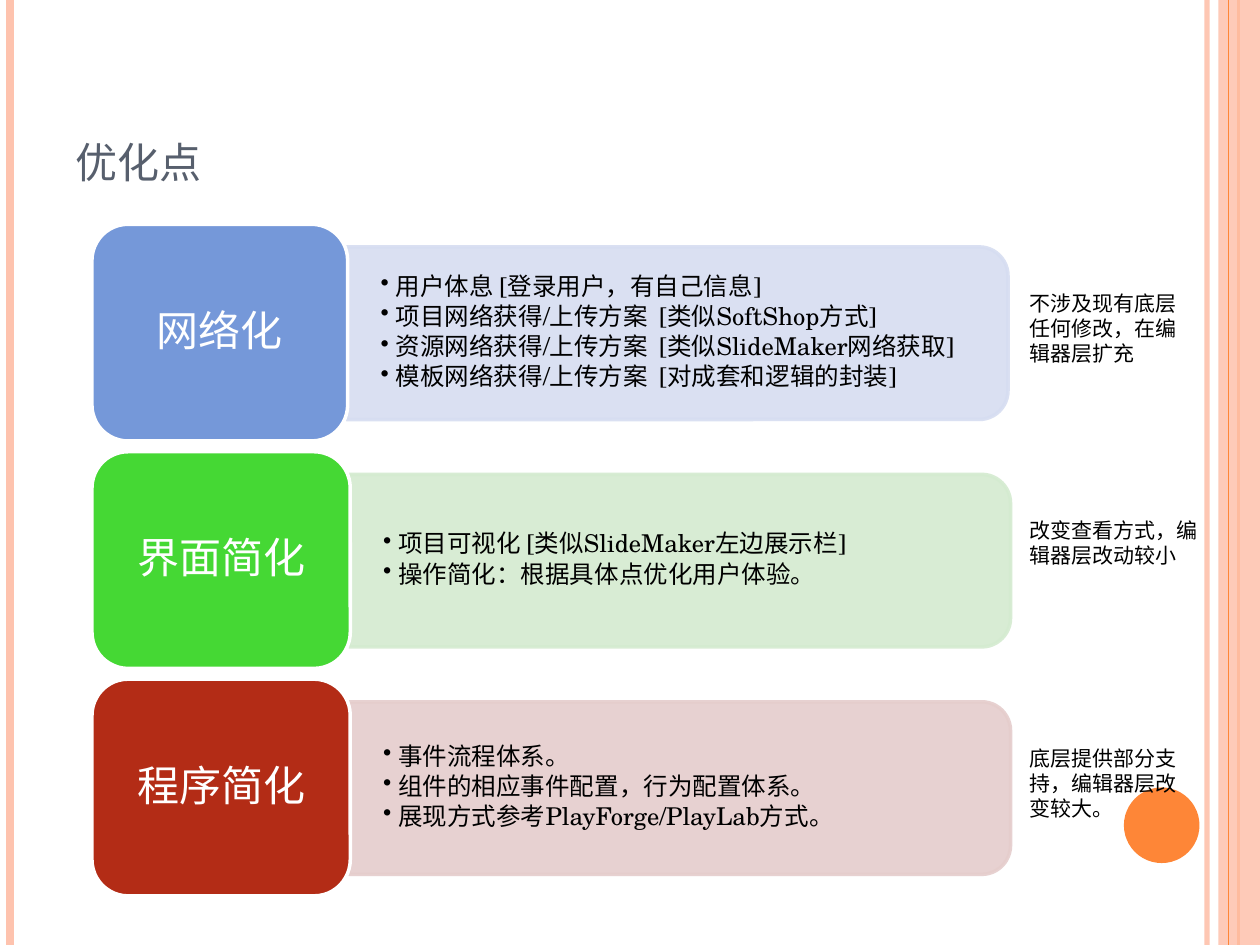
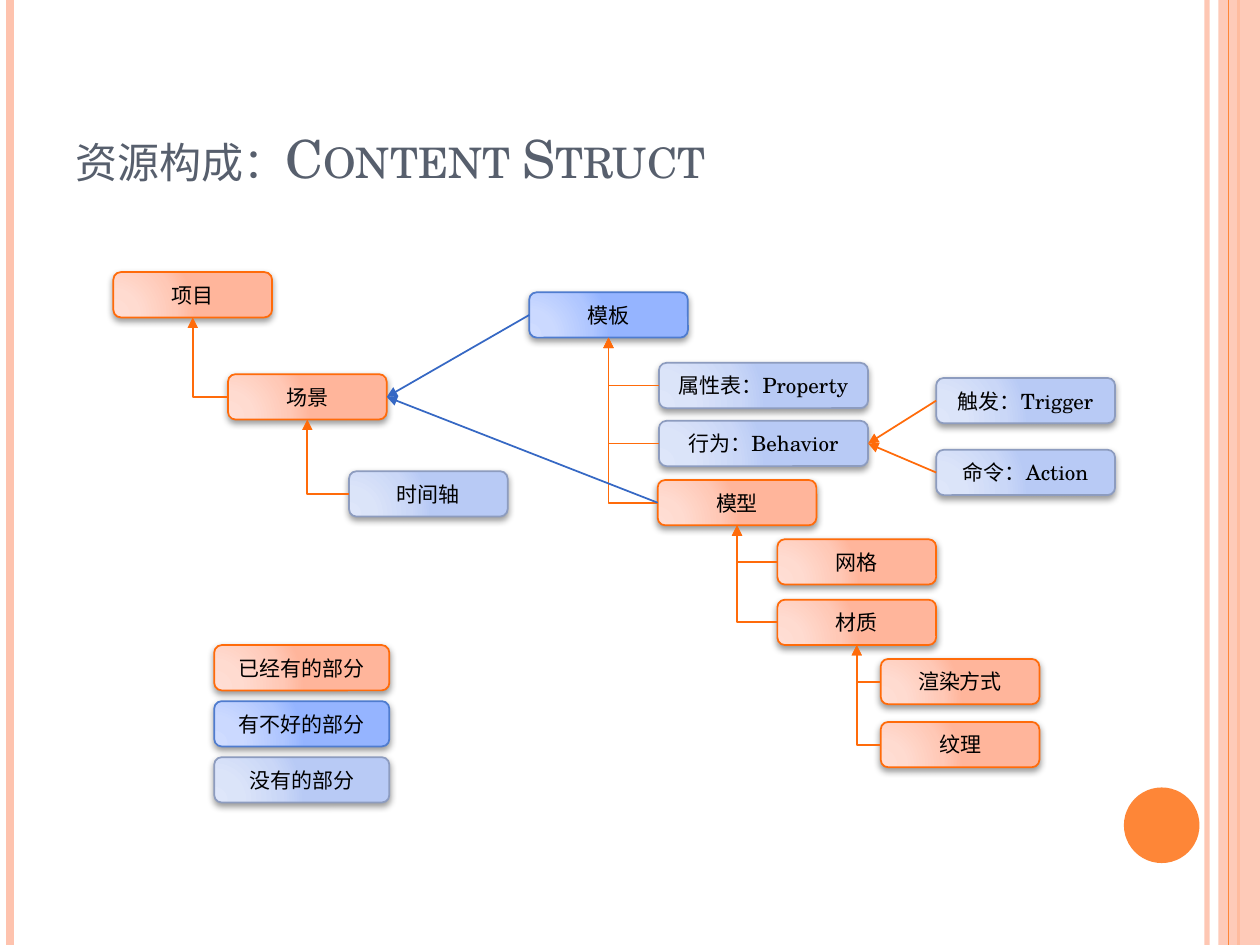
from lxml.etree import SubElement
from pptx import Presentation
from pptx.dml.color import RGBColor
from pptx.enum.shapes import MSO_CONNECTOR as LINK, MSO_SHAPE as SHAPE
from pptx.enum.text import MSO_ANCHOR, PP_ALIGN
from pptx.oxml import parse_xml
from pptx.oxml.ns import nsdecls, qn
from pptx.util import Inches, Pt

# The slide is a grid of 100 columns by 75 rows
COLS, ROWS = 100, 75
CELL = Inches(0.1)
FONT = "TeX Gyre Schola"
BLACK, WHITE, SLATE = "000000", "FFFFFF", "575F6D"
PEACH, ORANGE, VIVID, BLUE = "FEC3AE", "FE8637", "FF6B0A", "3668C4"

# Node styles: gradient stops and outline
STOPS = (0, 30, 75, 100)
STYLES = {
    "have": (("FFDED5", "FFDBD0", "FFC8B6", "FFB59B"), VIVID),
    "poor": (("CFDCFF", "CBD9FF", "AFC6FF", "95B4FF"), "4F7CCF"),
    "none": (("DEE6FA", "DBE4F9", "CAD7F7", "B8CAF5"), "8D9CBF"),
}

POINTS = [
    ("网络化", "7598D9", "D6DDF1", 20.3, 14.2,
     ["用户体息 [登录用户，有自己信息]",
      "项目网络获得/上传方案  [类似SoftShop方式]",
      "资源网络获得/上传方案  [类似SlideMaker网络获取]",
      "模板网络获得/上传方案  [对成套和逻辑的封装]"],
     "不涉及现有底层任何修改，在编辑器层扩充"),
    ("界面简化", "45D834", "D4EBD0", 20.5, 15.7,
     ["项目可视化 [类似SlideMaker左边展示栏]",
      "操作简化：根据具体点优化用户体验。"],
     "改变查看方式，编辑器层改动较小"),
    ("程序简化", "B32C16", "E5CDCC", 20.5, 14.2,
     ["事件流程体系。",
      "组件的相应事件配置，行为配置体系。",
      "展现方式参考PlayForge/PlayLab方式。"],
     "底层提供部分支持，编辑器层改变较大。"),
]

# Nodes: column, row, width, style
NODES = {
    "项目": (0, 0, 12.6, "have"),
    "场景": (9.1, 8.1, 12.6, "have"),
    "时间轴": (18.7, 15.8, 12.6, "none"),
    "模板": (33, 1.6, 12.6, "poor"),
    "属性表：Property": (43.3, 7.2, 16.6, "none"),
    "行为：Behavior": (43.3, 11.8, 16.6, "none"),
    "触发：Trigger": (65.3, 8.4, 14.2, "none"),
    "命令：Action": (65.3, 14.1, 14.2, "none"),
    "模型": (43.2, 16.5, 12.6, "have"),
    "网格": (52.7, 21.2, 12.6, "have"),
    "材质": (52.7, 26, 12.6, "have"),
    "渲染方式": (60.9, 30.7, 12.6, "have"),
    "纹理": (60.9, 35.7, 12.6, "have"),
}
TREE = {
    "项目": ["场景"],
    "场景": ["时间轴"],
    "模板": ["属性表：Property", "行为：Behavior", "模型"],
    "模型": ["网格", "材质"],
    "材质": ["渲染方式", "纹理"],
}
RAYS = [
    ("模板", "场景", BLUE),
    ("模型", "场景", BLUE),
    ("触发：Trigger", "行为：Behavior", VIVID),
    ("命令：Action", "行为：Behavior", VIVID),
]
LEGEND = {"已经有的部分": "have", "有不好的部分": "poor", "没有的部分": "none"}


def put(item, **vals):
    for name, val in vals.items():
        setattr(item, name, val)


def units(*vals):
    return [round(val * CELL) for val in vals]


def within(box, x, y, w, h):
    return box[0] + x, box[1] + y, w, h


def tint(form, code, alpha=100):
    form.rgb = RGBColor.from_string(code)
    if alpha < 100:
        clr = form._xFill.find(qn("a:srgbClr"))
        SubElement(clr, qn("a:alpha"), val=str(alpha * 1000))


def paint(item, code, alpha=100):
    item.fill.solid()
    tint(item.fill.fore_color, code, alpha)


def stroke(item, code, width, alpha=100):
    item.line.width = Pt(width)
    item.line.fill.solid()
    tint(item.line.fill.fore_color, code, alpha)


def write(item, lines, size, code, **form):
    frame = item.text_frame
    put(frame, word_wrap=True, **form.get("frame", {}))
    for i, line in enumerate(lines):
        para = frame.add_paragraph() if i else frame.paragraphs[0]
        put(para, **form.get("para", {}))
        run = para.add_run()
        run.text = line
        put(run.font, size=Pt(size), name=FONT)
        tint(run.font.fill.fore_color if run.font.fill.solid() else run.font.color, code)
    return frame.paragraphs


def label(slide, box, lines, size, code, **form):
    item = slide.shapes.add_textbox(*units(*box))
    return write(item, lines, size, code, **form)


def block(slide, kind, box):
    item = slide.shapes.add_shape(kind, *units(*box))
    item.shadow.inherit = False
    return item


def link(slide, kind, ends, code, width, alpha=100):
    item = slide.shapes.add_connector(kind, *units(*ends))
    stroke(item, code, width, alpha)
    SubElement(item._element.spPr, qn("a:effectLst"))
    return item


def frame(slide, title):
    """Side bands, corner dot and title."""
    def rail(x, code, width, alpha=100):
        link(slide, LINK.STRAIGHT, (x, 0, x, ROWS), code, width, alpha)

    rail(95.8, PEACH, 3, 93)
    rail(0.8, PEACH, 4.5)
    rail(98.3, ORANGE, 1.5)
    band = block(slide, SHAPE.RECTANGLE, (96.7, 0, COLS - 96.7, ROWS))
    paint(band, PEACH, 87)
    band.line.fill.background()
    rail(97.5, ORANGE, 0.75)
    dot = block(slide, SHAPE.OVAL, (89.2, 62.5, 6, 6))
    paint(dot, ORANGE)
    dot.line.fill.background()
    paras = label(slide, (5, 3, 81.7, 12.5), [title], 30, SLATE,
                  frame={"vertical_anchor": MSO_ANCHOR.BOTTOM})
    paras[0].runs[0].font._element.set("cap", "small")


def point(slide, box, name, dark, pale, wide, span, lines, note):
    """One row: label block, bullet panel and side note."""
    # Panel, turned so its round corners face right
    long, high = 52.5, 13.7
    left, top = wide - 0.1, 1.8
    turn = (long - high) / 2
    panel = block(slide, SHAPE.ROUND_2_SAME_RECTANGLE,
                  within(box, left + turn, top - turn, high, long))
    panel.rotation = 90
    paint(panel, pale, 90)
    stroke(panel, pale, 2, 90)
    # Bullets
    side, edge = Inches(0.27), Inches(0.14)
    paras = label(slide, within(box, left, 2.4, 51.8, 12.4), lines, 14, BLACK,
                  frame={"vertical_anchor": MSO_ANCHOR.MIDDLE,
                         "margin_left": side, "margin_right": side,
                         "margin_top": edge, "margin_bottom": edge},
                  para={"line_spacing": 0.9, "space_after": Pt(2.1)})
    hang = Inches(0.12)
    for para in paras:
        props = para._p.get_or_add_pPr()
        props.set("marL", str(hang))
        props.set("indent", str(-hang))
        SubElement(props, qn("a:buChar"), char="•")
    # Label block
    tile = block(slide, SHAPE.ROUNDED_RECTANGLE, within(box, 0, 0, wide, 17.2))
    paint(tile, dark)
    stroke(tile, WHITE, 2)
    write(tile, [name], 24, WHITE,
          frame={"vertical_anchor": MSO_ANCHOR.MIDDLE},
          para={"alignment": PP_ALIGN.CENTER, "line_spacing": 0.9})
    # Side note
    label(slide, within(box, 73.4, 4.75, span, 7.1), [note], 12, BLACK)


def node(slide, box, name, style):
    shades, edge = STYLES[style]
    item = block(slide, SHAPE.ROUNDED_RECTANGLE, box)
    stops = "".join(f'<a:gs pos="{pos * 1000}"><a:srgbClr val="{code}"/></a:gs>'
                    for pos, code in zip(STOPS, shades))
    item._element.spPr.find(qn("a:prstGeom")).addnext(parse_xml(
        f'<a:gradFill {nsdecls("a")} rotWithShape="1"><a:gsLst>{stops}</a:gsLst>'
        '<a:path path="circle"><a:fillToRect l="5000" t="100000" r="120000" b="10000"/>'
        '</a:path></a:gradFill>'))
    stroke(item, edge, 1)
    item._element.spPr.find(qn("a:effectLst")).append(parse_xml(
        f'<a:outerShdw {nsdecls("a")} blurRad="{Pt(4)}" dist="{Pt(2)}" dir="5400000" '
        'rotWithShape="0"><a:srgbClr val="000000"><a:alpha val="40000"/></a:srgbClr>'
        '</a:outerShdw>'))
    write(item, [name], 12, BLACK,
          frame={"vertical_anchor": MSO_ANCHOR.MIDDLE},
          para={"alignment": PP_ALIGN.CENTER})
    return item


def arrow(slide, kind, child, parent, site, code):
    """Arrow from the left side of a child to a site of its parent."""
    item = link(slide, kind, (0, 0, 0, 0), code, 1)
    item.begin_connect(child, 1)
    item.end_connect(parent, site)
    if kind == LINK.ELBOW:
        item._element.spPr.find(qn("a:prstGeom")).set("prst", "bentConnector2")
    SubElement(item.line._get_or_add_ln(), qn("a:tailEnd"), type="triangle")


def tree(slide, box):
    """Node tree with its arrows."""
    items = {name: node(slide, within(box, x, y, w, 3.6), name, style)
             for name, (x, y, w, style) in NODES.items()}
    for top, kids in TREE.items():
        for kid in kids:
            arrow(slide, LINK.ELBOW, items[kid], items[top], 2, VIVID)
    for tail, head, code in RAYS:
        arrow(slide, LINK.STRAIGHT, items[tail], items[head], 3, code)


def legend(slide, box):
    for i, (name, style) in enumerate(LEGEND.items()):
        node(slide, within(box, 0, i * 4.45, 13.9, 3.6), name, style)


def main():
    deck = Presentation()
    put(deck, slide_width=COLS * CELL, slide_height=ROWS * CELL)
    blank = deck.slide_layouts[6]

    slide = deck.slides.add_slide(blank)
    frame(slide, "优化点")
    for i, row in enumerate(POINTS):
        point(slide, (7.3, 17.8 + i * 18.05), *row)

    slide = deck.slides.add_slide(blank)
    frame(slide, "资源构成：Content Struct")
    tree(slide, (9, 21.6))
    legend(slide, (17, 51.2))

    deck.save("out.pptx")


if __name__ == "__main__":
    main()
